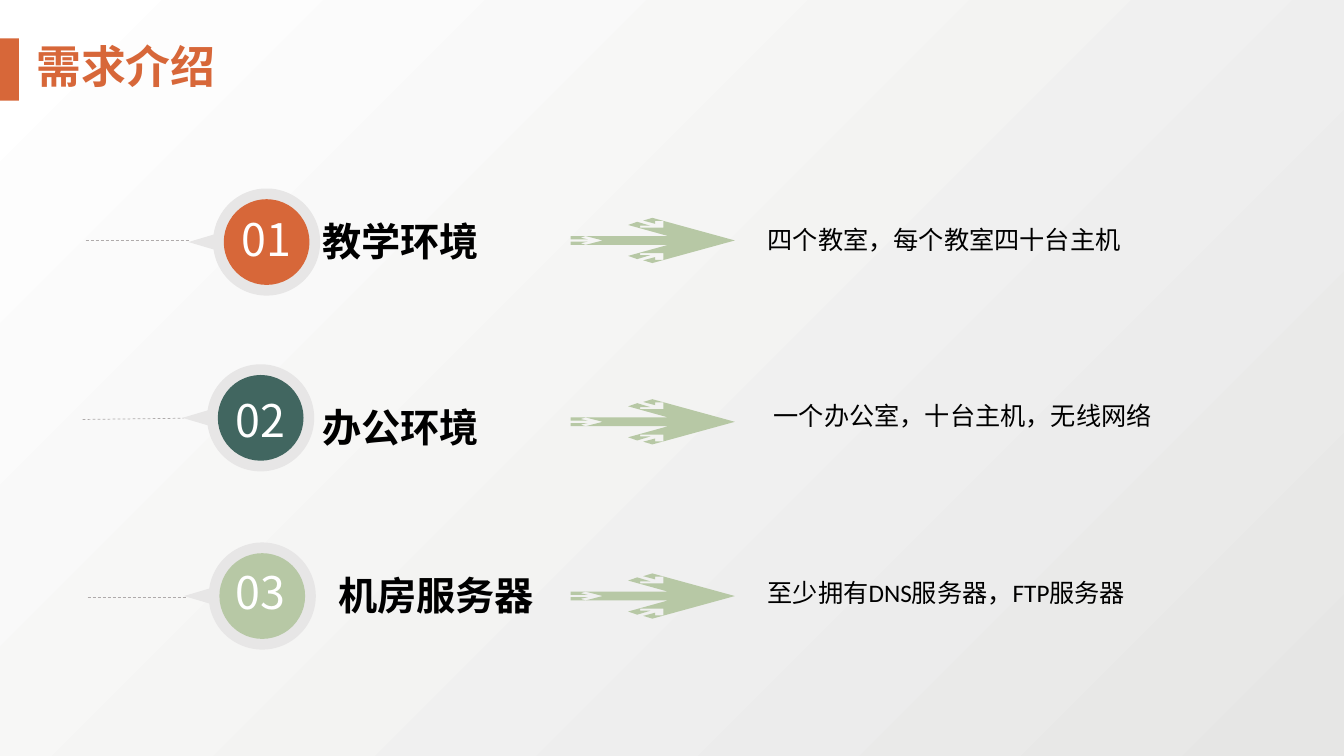
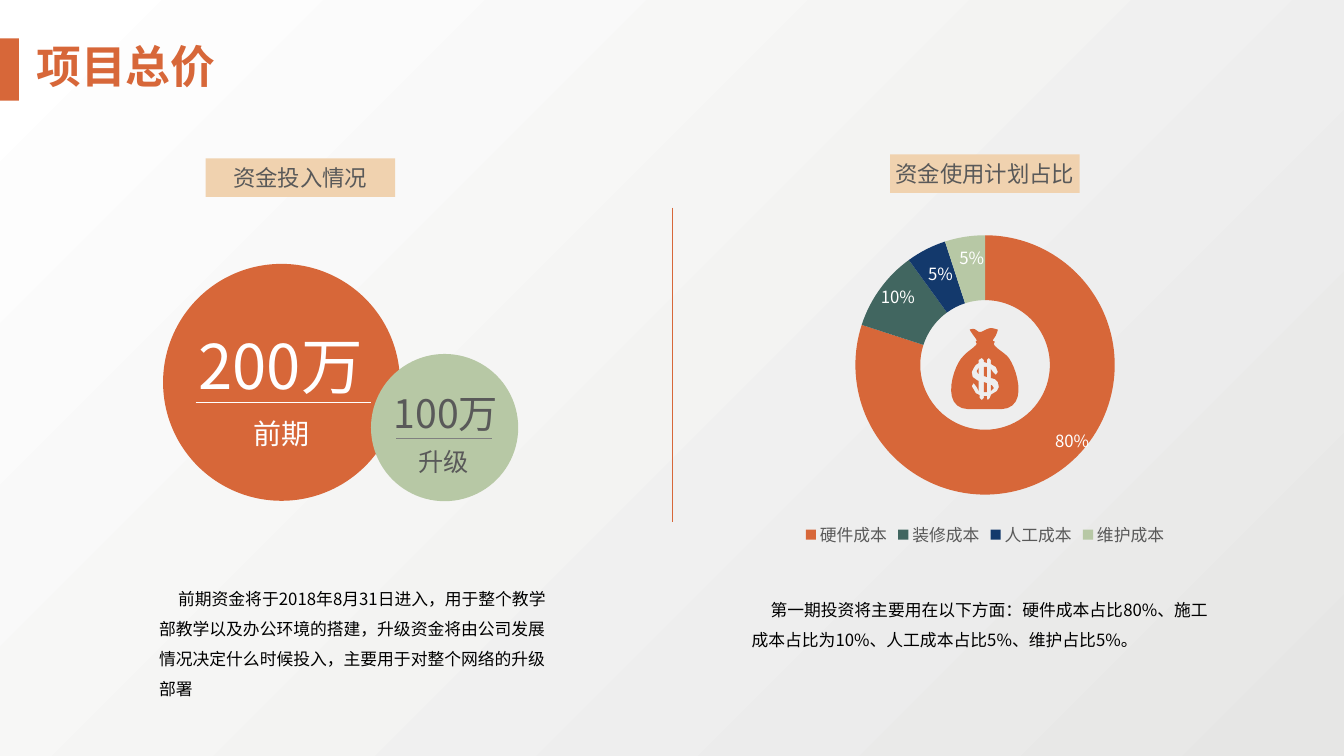
import math
from dataclasses import dataclass
from typing import NamedTuple

from lxml import etree
from pptx import Presentation
from pptx import util as u
from pptx.chart.data import CategoryChartData
from pptx.dml.color import RGBColor
from pptx.enum import chart as charts
from pptx.enum import dml, shapes, text
from pptx.oxml import ns


@dataclass(frozen=True)
class Theme:
    orange: str = "D76739"
    teal: str = "416660"
    navy: str = "13396C"
    sage: str = "B7C8A5"
    sand: str = "F0D2AF"
    ring: str = "E7E6E6"
    dash: str = "AFABAB"
    rule: str = "808080"
    grey: str = "595959"
    black: str = "000000"
    white: str = "FFFFFF"
    backdrop: tuple[str, str] = ("E6E6E5", "FFFFFF")
    cjk: str = "Noto Sans CJK SC"
    latin: str = "Calibri"
    title: int = 32
    heading: int = 28
    detail: int = 18
    badge: int = 16
    body: int = 12


THEME = Theme()
Point = tuple[float, float]


class Frame(NamedTuple):
    """Left, top, width and height in centimetres."""
    left: float
    top: float
    width: float
    height: float

    def lengths(self) -> list[u.Length]:
        return [u.Cm(value) for value in self]


class Style(NamedTuple):
    size: float
    colour: str
    bold: bool = False
    align: text.PP_ALIGN = text.PP_ALIGN.LEFT
    font: str = THEME.cjk
    spacing: float = 1.0
    indent: float = 0


class Need(NamedTuple):
    number: str
    heading: str
    detail: str
    colour: str
    pin: Point
    dash_from: Point
    dash_to: Point
    number_at: Point
    heading_at: Point
    detail_at: Point
    arrow_y: float


class Fund(NamedTuple):
    amount: str
    stage: str
    fill: str
    ink: str
    rule: str
    disc: Frame
    amount_frame: Frame
    amount_size: int
    stage_frame: Frame
    stage_size: int
    rule_from: Point
    rule_to: Point


class Panel(NamedTuple):
    badge: str
    badge_frame: Frame
    body: str
    body_frame: Frame


CENTRE = text.PP_ALIGN.CENTER
PIN_RADIUS, PIN_TIP, DISC = 1.35, 1.97, 2.16
ARROW_LEFT = 14.38

NEEDS = [
    Need("01", "教学环境", "四个教室，每个教室四十台主机", THEME.orange, (6.72, 6.1),
         (2.16, 6.05), (4.8, 6.05), (5.66, 5.21), (7.88, 5.35), (19.1, 5.54), 6.06),
    Need("02", "办公环境", "一个办公室，十台主机，无线网络", THEME.teal, (6.57, 10.53),
         (2.08, 10.57), (4.62, 10.54), (5.51, 9.78), (7.88, 10.04), (19.25, 9.96), 10.63),
    Need("03", "机房服务器", "至少拥有DNS服务器，FTP服务器", THEME.sage, (6.61, 15.02),
         (2.21, 15.04), (4.7, 15.04), (5.51, 14.1), (8.28, 14.27), (19.1, 14.43), 15.02),
]

FUNDS = [
    Fund("200万", "前期", THEME.orange, THEME.white, THEME.white,
         Frame(4.11, 6.65, 5.97, 5.97), Frame(4.34, 8.13, 5.46, 2.24), 44,
         Frame(5.18, 10.36, 3.81, 1.17), 20, (4.93, 10.13), (9.35, 10.13)),
    Fund("100万", "升级", THEME.sage, THEME.grey, THEME.rule,
         Frame(9.35, 8.92, 3.71, 3.71), Frame(8.51, 9.68, 5.46, 1.52), 28,
         Frame(9.27, 11.13, 3.81, 1.07), 18, (9.98, 11.05), (12.4, 11.05)),
]

PANELS = [
    Panel("资金投入情况", Frame(5.18, 3.99, 4.78, 0.97),
          "前期资金将于2018年8月31日进入，用于整个教学部教学以及办公环境的搭建，"
          "升级资金将由公司发展情况决定什么时候投入，主要用于对整个网络的升级部署",
          Frame(3.76, 14.45, 10.44, 3.3)),
    Panel("资金使用计划占比", Frame(22.43, 3.89, 4.78, 0.97),
          "第一期投资将主要用在以下方面：硬件成本占比80%、施工成本占比为10%、"
          "人工成本占比5%、维护占比5%。",
          Frame(18.69, 14.73, 12.22, 1.78)),
]

COSTS = [("硬件成本", 80, THEME.orange, (26.34, 10.72)),
         ("装修成本", 10, THEME.teal, (21.95, 7.11)),
         ("人工成本", 5, THEME.navy, (23.14, 6.53)),
         ("维护成本", 5, THEME.sage, (23.93, 6.12))]

# Lower half of the arrow, from its tip to its notch, around y = 0
ARROW_HALF = [(4.14, 0), (2.06, 0.57), (1.83, 0.5), (2.13, 0.42), (2.13, 0.49), (2.34, 0.49),
              (2.34, 0.32), (1.75, 0.32), (1.75, 0.37), (2.01, 0.37), (1.68, 0.47),
              (1.45, 0.39), (2.46, 0.11), (0, 0.11), (0, 0.03), (0.43, 0.03), (0.25, 0.07),
              (0.38, 0.11), (0.81, 0)]

# Money bag on a fine grid; a step holds one point, or three for a Bézier curve
BAG_LEFT, BAG_TOP, BAG_GRID = 23.37, 8.13, 2.54 / 100
BAG_OUTLINE = [
    [(79, 33)], [(75, 29), (66, 24), (66, 21)], [(67, 19)], [(65, 18)],
    [(65, 16), (68, 15), (70, 7)], [(61, 4), (61, 6), (54, 9)],
    [(49, 11), (49, 4), (42, 7)], [(46, 14), (49, 16), (49, 18)], [(48, 19)], [(49, 21)],
    [(48, 24), (39, 29), (36, 33)], [(27, 40), (11, 85), (41, 86)], [(73, 86)],
    [(103, 85), (87, 40), (79, 33)]]
DOLLAR = [
    [(71, 64), (69, 68), (64, 71), (63, 72), (62, 75), (60, 77), (59, 75), (59, 73), (56, 73),
     (56, 75), (54, 77), (52, 75), (52, 72), (48, 70), (44, 63), (46, 60), (49, 64), (51, 68),
     (51, 58), (49, 57), (45, 54), (44, 49), (46, 45), (48, 42), (51, 40), (51, 37), (54, 35),
     (56, 37), (56, 39), (59, 40), (59, 37), (61, 35), (63, 37), (63, 41), (68, 44), (70, 49),
     (68, 52), (65, 49), (63, 46), (63, 55), (67, 56), (70, 59)],
    [(56, 59), (56, 69), (59, 69), (59, 60)],
    [(49, 48), (50, 50), (51, 51), (51, 45)],
    [(56, 44), (56, 53), (59, 54), (59, 44)],
    [(63, 62), (63, 68), (66, 65), (64, 62)]]


def rgb(colour: str) -> RGBColor:
    return RGBColor.from_string(colour)


def set_font(font, size: float, colour: str, name: str) -> None:
    """Format Latin and East Asian text alike."""
    font.size, font.name = u.Pt(size), name
    font.color.rgb = rgb(colour)
    east_asian = name if name == THEME.cjk else THEME.cjk
    font._element.find(ns.qn("a:latin")).addnext(
        font._element.makeelement(ns.qn("a:ea"), {"typeface": east_asian}))


def write(box, words: str, style: Style) -> None:
    frame = box.text_frame
    frame.text = words
    frame.word_wrap = True
    para = frame.paragraphs[0]
    para.alignment, para.line_spacing = style.align, style.spacing
    para.font.bold = style.bold
    set_font(para.font, style.size, style.colour, style.font)
    if style.indent:
        para._p.get_or_add_pPr().set("indent", str(u.Cm(style.indent)))


def add_text(page, words: str, frame: Frame, style: Style) -> None:
    box = page.shapes.add_textbox(*frame.lengths())
    write(box, words, style)
    box.text_frame.auto_size = text.MSO_AUTO_SIZE.SHAPE_TO_FIT_TEXT


def paint(shape, colour: str) -> None:
    shape.shadow.inherit = False
    shape.fill.solid()
    shape.fill.fore_color.rgb = rgb(colour)
    shape.line.fill.background()


def add_solid(page, kind: shapes.MSO_SHAPE, frame: Frame, colour: str):
    shape = page.shapes.add_shape(kind, *frame.lengths())
    paint(shape, colour)
    return shape


def add_outline(page, contours: list[list[Point]], colour: str) -> None:
    """Fill closed contours, in centimetres, as one shape."""
    rings = [[(u.Cm(x), u.Cm(y)) for x, y in ring] for ring in contours]
    builder = page.shapes.build_freeform(*rings[0][0], scale=1.0)
    for index, ring in enumerate(rings):
        if index:
            builder.move_to(*ring[0])
        builder.add_line_segments(ring[1:], close=True)
    paint(builder.convert_to_shape(), colour)


def add_line(page, start: Point, end: Point, colour: str, dashed: bool = False) -> None:
    line = page.shapes.add_connector(
        shapes.MSO_CONNECTOR.STRAIGHT, *(u.Cm(value) for value in start + end))
    line.line.width = u.Pt(0.5)
    line.line.color.rgb = rgb(colour)
    if dashed:
        line.line.dash_style = dml.MSO_LINE.DASH
    etree.SubElement(line._element.spPr, ns.qn("a:effectLst"))


def add_page(deck, title: str):
    page = deck.slides.add_slide(deck.slide_layouts[5])
    add_solid(page, shapes.MSO_SHAPE.RECTANGLE, Frame(0, 0.97, 0.48, 1.57), THEME.orange)
    box = page.shapes.title
    box.left, box.top, box.width, box.height = Frame(0.05, 0.86, 6.25, 1.7).lengths()
    write(box, title, Style(THEME.title, THEME.orange, True, CENTRE))
    box.text_frame.vertical_anchor = text.MSO_ANCHOR.TOP
    box.text_frame.auto_size = text.MSO_AUTO_SIZE.SHAPE_TO_FIT_TEXT
    return page


def add_pin(page, centre: Point, colour: str) -> None:
    x, y = centre
    angles = [math.radians(degree) for degree in range(188, 533, 4)]
    ring = [(x + PIN_RADIUS * math.cos(a), y + PIN_RADIUS * math.sin(a)) for a in angles]
    add_outline(page, [[(x - PIN_TIP, y), *ring]], THEME.ring)
    add_solid(page, shapes.MSO_SHAPE.OVAL,
              Frame(x - DISC / 2, y - DISC / 2, DISC, DISC), colour)


def add_arrow(page, middle: float) -> None:
    upper = [(x, -y) for x, y in reversed(ARROW_HALF[1:-1])]
    add_outline(page, [[(ARROW_LEFT + x, middle + y) for x, y in ARROW_HALF + upper]],
                THEME.sage)


def add_need(page, need: Need) -> None:
    add_pin(page, need.pin, need.colour)
    add_line(page, need.dash_from, need.dash_to, THEME.dash, dashed=True)
    add_text(page, need.number, Frame(*need.number_at, 2.11, 1.7),
             Style(THEME.title, THEME.white, align=CENTRE))
    add_text(page, need.heading, Frame(*need.heading_at, 6.07, 1.45),
             Style(THEME.heading, THEME.black, True))
    add_text(page, need.detail, Frame(*need.detail_at, 12, 1.02),
             Style(THEME.detail, THEME.black, font=THEME.latin))
    add_arrow(page, need.arrow_y)


def add_fund(page, fund: Fund) -> None:
    add_solid(page, shapes.MSO_SHAPE.OVAL, fund.disc, fund.fill)
    add_text(page, fund.amount, fund.amount_frame,
             Style(fund.amount_size, fund.ink, align=CENTRE))
    add_line(page, fund.rule_from, fund.rule_to, fund.rule)
    add_text(page, fund.stage, fund.stage_frame,
             Style(fund.stage_size, fund.ink, align=CENTRE))


def add_panel(page, panel: Panel) -> None:
    badge = add_solid(page, shapes.MSO_SHAPE.RECTANGLE, panel.badge_frame, THEME.sand)
    write(badge, panel.badge, Style(THEME.badge, THEME.grey, align=CENTRE))
    frame = badge.text_frame
    frame.margin_left = frame.margin_right = frame.margin_top = frame.margin_bottom = 0
    frame.vertical_anchor = text.MSO_ANCHOR.MIDDLE
    add_text(page, panel.body, panel.body_frame,
             Style(THEME.body, THEME.black, spacing=1.5, indent=0.48))


def flatten(steps: list[list[Point]], pieces: int = 12) -> list[Point]:
    """Turn Bézier steps into a polyline."""
    points = list(steps[0])
    for step in steps[1:]:
        if len(step) == 1:
            points += step
            continue
        start, first, second, end = points[-1], *step
        for t in (piece / pieces for piece in range(1, pieces + 1)):
            s = 1 - t
            points.append(tuple(
                s**3 * a + 3 * s * s * t * b + 3 * s * t * t * c + t**3 * d
                for a, b, c, d in zip(start, first, second, end)))
    return points


def add_money_bag(page) -> None:
    add_outline(page, [[(BAG_LEFT + x * BAG_GRID, BAG_TOP + y * BAG_GRID) for x, y in ring]
                       for ring in [flatten(BAG_OUTLINE), *DOLLAR]], THEME.orange)


def add_cost_chart(page) -> None:
    data = CategoryChartData()
    data.categories = [name for name, *_ in COSTS]
    data.add_series("占比", [share for _, share, *_ in COSTS])
    chart = page.shapes.add_chart(charts.XL_CHART_TYPE.DOUGHNUT,
                                  *Frame(18.54, 5.51, 12.57, 8.38).lengths(), data).chart
    chart.has_title = False
    chart.has_legend = True
    chart.legend.position = charts.XL_LEGEND_POSITION.BOTTOM
    chart.legend.include_in_layout = False
    set_font(chart.legend.font, THEME.body, THEME.grey, THEME.cjk)
    area = chart._chartSpace.chart.plotArea
    area.find(".//" + ns.qn("c:holeSize")).set("val", "67")
    for old in area.findall(ns.qn("c:layout")):
        area.remove(old)
    layout = area.makeelement(ns.qn("c:layout"), {})
    area.insert(0, layout)
    manual = etree.SubElement(layout, ns.qn("c:manualLayout"))
    for tag, value in [("layoutTarget", "inner"), ("xMode", "edge"), ("yMode", "edge"),
                       ("x", 0.24), ("y", 0.05), ("w", 0.52), ("h", 0.78)]:
        etree.SubElement(manual, ns.qn("c:" + tag), val=str(value))
    for index, (_, share, colour, label_at) in enumerate(COSTS):
        look = chart.plots[0].series[0].points[index].format
        look.fill.solid()
        look.fill.fore_color.rgb = rgb(colour)
        look.line.fill.background()
        add_text(page, f"{share}%", Frame(*label_at, 1.57, 0.79),
                 Style(THEME.body, THEME.white))


def set_backdrop(deck) -> None:
    fill = deck.slide_master.background.fill
    fill.gradient()
    fill.gradient_angle = 135
    for stop, colour, position in zip(fill.gradient_stops, THEME.backdrop, (0, 1)):
        stop.color.rgb, stop.position = rgb(colour), position


def main() -> None:
    deck = Presentation()
    deck.slide_width, deck.slide_height = u.Cm(33.87), u.Cm(19.05)
    set_backdrop(deck)

    page = add_page(deck, "需求介绍")
    for need in NEEDS:
        add_need(page, need)

    page = add_page(deck, "项目总价")
    add_line(page, (16.94, 5.23), (16.94, 13.16), THEME.orange)
    for fund in FUNDS:
        add_fund(page, fund)
    for panel in PANELS:
        add_panel(page, panel)
    add_cost_chart(page)
    add_money_bag(page)
    deck.save("out.pptx")


if __name__ == "__main__":
    main()
